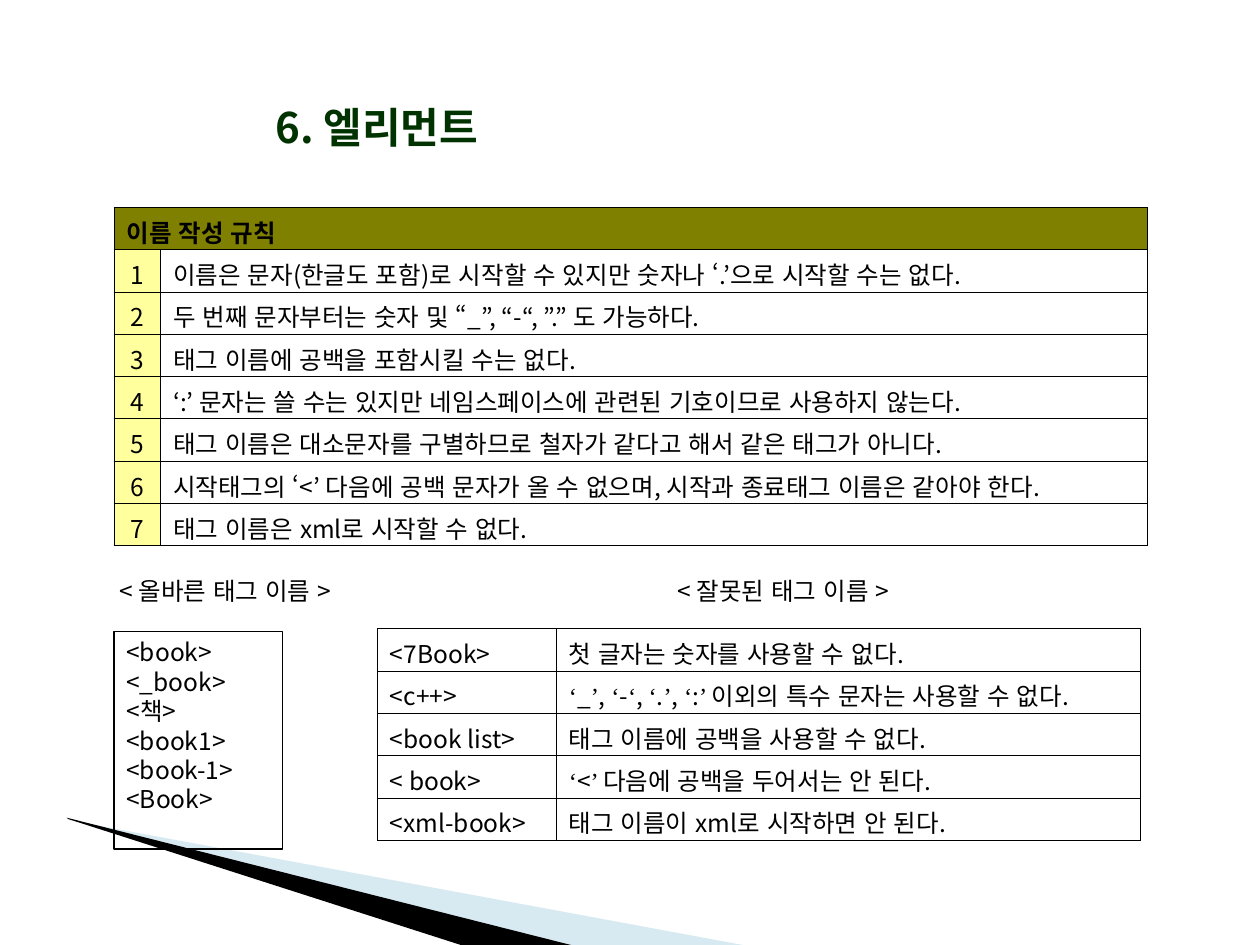
from lxml.etree import SubElement
from pptx import Presentation
from pptx.dml.color import RGBColor
from pptx.enum.lang import MSO_LANGUAGE_ID
from pptx.enum.shapes import MSO_SHAPE
from pptx.enum.text import MSO_ANCHOR, PP_ALIGN
from pptx.oxml import parse_xml
from pptx.oxml.ns import nsdecls, qn
from pptx.util import Inches, Pt

THEME = {
    "font": "Noto Sans CJK KR", "quote_font": "Times New Roman",
    "body": Pt(14), "title": Pt(24), "table_line": Pt(0.45), "box_line": Pt(0.75),
    "ink": RGBColor(0, 0, 0), "heading": RGBColor(0, 0x33, 0),
    "header": RGBColor(0x80, 0x80, 0), "number": RGBColor(0xFF, 0xFF, 0x9D),
    "swoosh": RGBColor(0x9F, 0xCB, 0xDC),
}
ROW = 0.336
HANGING = 0.38
LEFT = 0.905


def write(paragraph, runs, size=THEME["body"], color=THEME["ink"], bold=False):
    """Add runs to a paragraph; every second run uses the quotation mark font."""
    for index, text in enumerate(runs):
        if not text:
            continue
        run = paragraph.add_run()
        run.text = text
        name = THEME["quote_font"] if index % 2 else THEME["font"]
        style = {"size": size, "bold": bold, "name": name,
                 "language_id": MSO_LANGUAGE_ID.KOREAN}
        for key, value in style.items():
            setattr(run.font, key, value)
        run.font.color.rgb = color
        SubElement(run.font._element, qn("a:ea"), typeface=name)


def fill_cell(cell, runs, fill=None, align=PP_ALIGN.LEFT, bold=False):
    """Write one bordered table cell with a hanging indent."""
    cell.margin_bottom = 0
    paragraph = cell.text_frame.paragraphs[0]
    paragraph.alignment = align
    properties = paragraph._p.get_or_add_pPr()
    properties.set("marL", str(Inches(HANGING)))
    properties.set("indent", str(-Inches(HANGING)))
    write(paragraph, runs, bold=bold)
    cell_properties = cell._tc.get_or_add_tcPr()
    for side in ("lnL", "lnR", "lnT", "lnB"):
        cell_properties.append(parse_xml(
            f'<a:{side} {nsdecls("a")} w="{THEME["table_line"]}"><a:solidFill>'
            f'<a:srgbClr val="{THEME["ink"]}"/></a:solidFill></a:{side}>'))
    if fill is None:
        cell.fill.background()
    else:
        cell.fill.solid()
        cell.fill.fore_color.rgb = fill


presentation = Presentation()
presentation.slide_width, presentation.slide_height = Inches(10), Inches(7.5)
slide = presentation.slides.add_slide(presentation.slide_layouts[6])
shapes = slide.shapes

# Corner swoosh
swooshes = [
    (THEME["swoosh"], 40, [(0.55, 6.51), (5.95, 7.51), (4.56, 7.51), (0.55, 6.5)]),
    (THEME["ink"], 100, [(0.53, 6.49), (4.57, 7.51), (3.72, 7.52), (0.54, 6.5)]),
]
for color, opacity, points in swooshes:
    corners = [(Inches(x), Inches(y)) for x, y in points]
    builder = shapes.build_freeform(*corners[0])
    builder.add_line_segments(corners[1:], close=True)
    swoosh = builder.convert_to_shape()
    swoosh.shadow.inherit = False
    swoosh.line.fill.background()
    swoosh.fill.solid()
    swoosh.fill.fore_color.rgb = color
    if opacity < 100:
        color_element = swoosh._element.spPr.find(qn("a:solidFill"))[0]
        SubElement(color_element, qn("a:alpha"), val=str(opacity * 1000))

# Tables
rules = [
    "이름은 문자(한글도 포함)로 시작할 수 있지만 숫자나 ‘.’으로 시작할 수는 없다.",
    "두 번째 문자부터는 숫자 및 “_”, “-“, ”.” 도 가능하다.",
    "태그 이름에 공백을 포함시킬 수는 없다.",
    "‘:’ 문자는 쓸 수는 있지만 네임스페이스에 관련된 기호이므로 사용하지 않는다.",
    "태그 이름은 대소문자를 구별하므로 철자가 같다고 해서 같은 태그가 아니다.",
    "시작태그의 ‘<’ 다음에 공백 문자가 올 수 없으며, 시작과 종료태그 이름은 같아야 한다.",
    "태그 이름은 xml로 시작할 수 없다.",
]
wrong_names = [
    ("<7Book>", ["첫 글자는 숫자를 사용할 수 없다."]),
    ("<c++>", ["", "‘", "_", "’", ", ", "‘", "-", "‘", ", ", "‘", ".", "’", ", ",
               "‘", ":", "’ ", "이외의 특수 문자는 사용할 수 없다."]),
    ("<book list>", ["태그 이름에 공백을 사용할 수 없다."]),
    ("< book>", ["", "‘", "<", "’ ", "다음에 공백을 두어서는 안 된다."]),
    ("<xml-book>", ["태그 이름이 xml로 시작하면 안 된다."]),
]
tables = []
for left, top, columns, row_count in [
    (LEFT, 1.645, (0.37, 7.83), len(rules) + 1),
    (2.995, 4.99, (1.42, 4.64), len(wrong_names)),
]:
    table = shapes.add_table(row_count, 2, Inches(left), Inches(top),
                             Inches(sum(columns)), Inches(ROW * row_count)).table
    table.first_row = table.horz_banding = False
    for column, width in zip(table.columns, columns):
        column.width = Inches(width)
    tables.append(table)
rule_table, wrong_table = tables

rule_table.cell(0, 0).merge(rule_table.cell(0, 1))
rule_table.cell(0, 1).margin_bottom = 0
fill_cell(rule_table.cell(0, 0), ["이름 작성 규칙"], THEME["header"], bold=True)
for row, rule in enumerate(rules, 1):
    fill_cell(rule_table.cell(row, 0), [str(row)], THEME["number"], PP_ALIGN.CENTER)
    fill_cell(rule_table.cell(row, 1), [rule])
for row, (name, reason) in enumerate(wrong_names):
    fill_cell(wrong_table.cell(row, 0), [name])
    fill_cell(wrong_table.cell(row, 1), reason)

# Box of valid names
box = shapes.add_shape(MSO_SHAPE.RECTANGLE, Inches(LEFT), Inches(5.01),
                       Inches(1.34), Inches(1.73))
box.shadow.inherit = False
box.fill.background()
box.line.color.rgb = THEME["ink"]
box.line.width = THEME["box_line"]
frame = box.text_frame
frame.vertical_anchor = MSO_ANCHOR.TOP
for index, name in enumerate(["<book>", "<_book>", "<책>", "<book1>", "<book-1>", "<Book>"]):
    paragraph = frame.add_paragraph() if index else frame.paragraphs[0]
    paragraph.alignment = PP_ALIGN.JUSTIFY
    write(paragraph, [name])

# Title and captions
labels = [
    ("< 올바른 태그 이름 >", (0.85, 4.52, 1.98, 0.34), MSO_ANCHOR.MIDDLE, {}),
    ("< 잘못된 태그 이름 >", (5.28, 4.52, 1.98, 0.34), MSO_ANCHOR.MIDDLE, {}),
    ("6. 엘리먼트", (2.09, 0.76, 1.9, 0.5), MSO_ANCHOR.TOP,
     {"size": THEME["title"], "color": THEME["heading"], "bold": True}),
]
for text, position, anchor, style in labels:
    frame = shapes.add_textbox(*map(Inches, position)).text_frame
    frame.word_wrap = False
    frame.vertical_anchor = anchor
    write(frame.paragraphs[0], [text], **style)

presentation.save("out.pptx")
